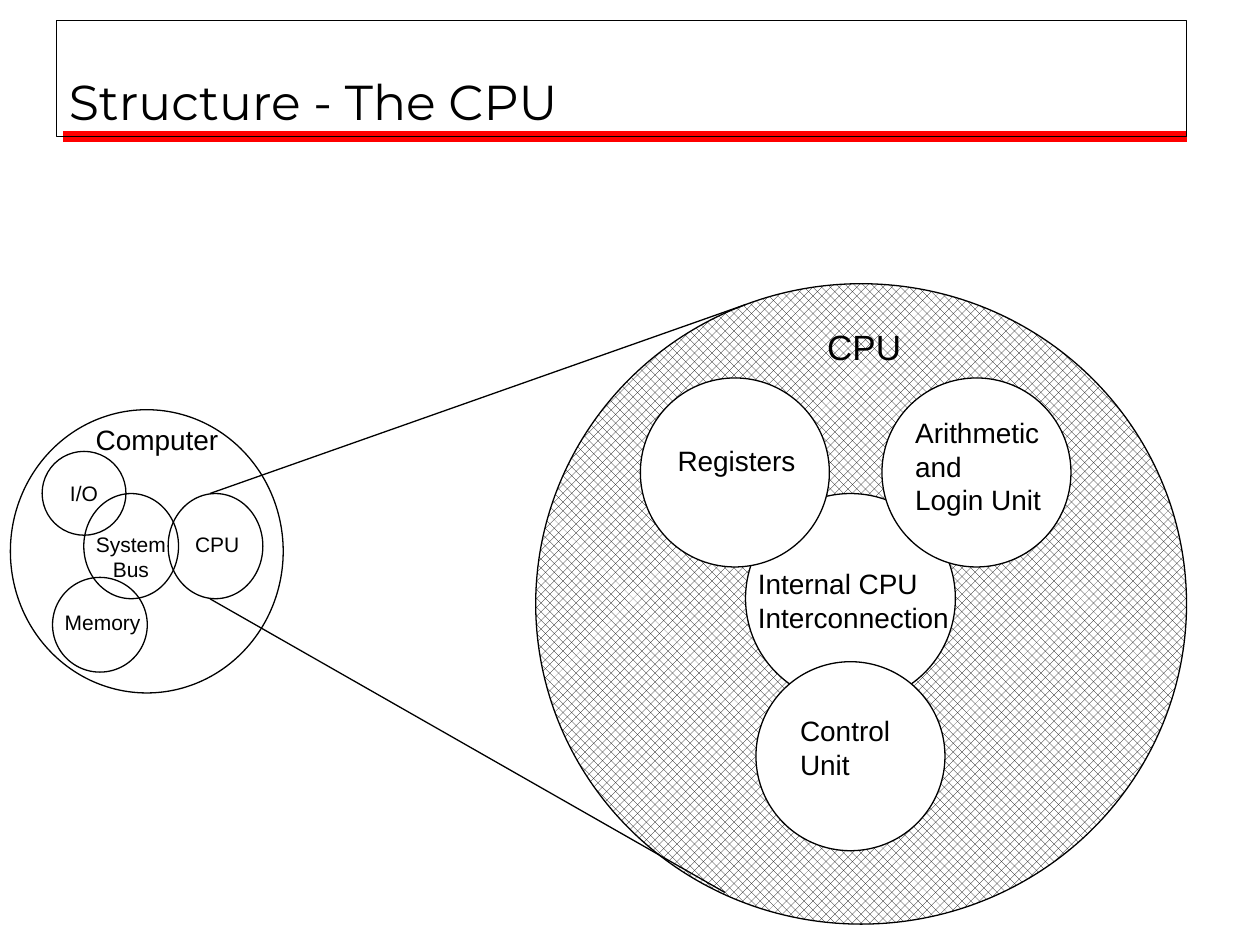
from lxml.etree import SubElement
from pptx import Presentation
from pptx.dml.color import RGBColor
from pptx.enum.dml import MSO_PATTERN
from pptx.enum.shapes import MSO_CONNECTOR, MSO_SHAPE
from pptx.enum.text import MSO_ANCHOR as Anchor, MSO_AUTO_SIZE as AutoSize, PP_ALIGN as Align
from pptx.oxml.ns import qn
from pptx.util import Cm, Pt

COLORS = {"ink": "000000", "paper": "FFFFFF", "rule": "FF0000"}
RGB = {name: RGBColor.from_string(value) for name, value in COLORS.items()}

prs = Presentation()
prs.slide_width, prs.slide_height = Cm(25.4), Cm(19.05)
slide = prs.slides.add_slide(prs.slide_layouts[5])
shapes = slide.shapes


def add_line(x1, y1, x2, y2, color, width):
    line = shapes.add_connector(MSO_CONNECTOR.STRAIGHT, Cm(x1), Cm(y1), Cm(x2), Cm(y2))
    line.line.color.rgb = RGB[color]
    line.line.width = Pt(width)
    SubElement(line._element.spPr, qn("a:effectLst"))


def write(frame, text, size, align, anchor, font="Arial"):
    frame.text = text
    frame.vertical_anchor = anchor
    frame.margin_left = frame.margin_right = Cm(0.25)
    frame.margin_top = frame.margin_bottom = Cm(0.13)
    for paragraph in frame.paragraphs:
        paragraph.alignment = align
        paragraph.font.size = Pt(size)
        paragraph.font.name = font
        paragraph.font.color.rgb = RGB["ink"]


add_line(1.27, 2.75, 23.92, 2.75, "rule", 6)

title = shapes.title
shapes._spTree.append(title._element)
title.left, title.top, title.width, title.height = Cm(1.14), Cm(0.42), Cm(22.78), Cm(2.33)
title.line.color.rgb = RGB["ink"]
title.line.width = Pt(0.75)
write(title.text_frame, "Structure - The CPU", 28, Align.LEFT, Anchor.BOTTOM, "Montserrat")
title.text_frame.auto_size = AutoSize.NONE

circles = [
    (10.8, 5.72, 13.12, 12.91, "hatch", ""),
    (15.03, 9.95, 4.23, 4.23, "paper", ""),
    (12.91, 7.62, 3.81, 3.81, "paper", ""),
    (17.78, 7.62, 3.81, 3.81, "paper", ""),
    (15.24, 13.34, 3.81, 3.81, "paper", ""),
    (0.21, 8.26, 5.5, 5.71, None, ""),
    (3.39, 9.95, 1.91, 2.12, None, ""),
    (0.85, 9.1, 1.69, 1.69, None, "I/O"),
    (1.06, 11.64, 1.91, 1.91, None, ""),
    (1.69, 9.95, 1.91, 2.12, None, ""),
]
for x, y, width, height, fill, text in circles:
    circle = shapes.add_shape(MSO_SHAPE.OVAL, Cm(x), Cm(y), Cm(width), Cm(height))
    circle.shadow.inherit = False
    circle.line.color.rgb = RGB["ink"]
    circle.line.width = Pt(0.75)
    if fill == "hatch":
        circle.fill.patterned()
        circle.fill.pattern = MSO_PATTERN.PERCENT_50
        circle.fill.fore_color.rgb = RGB["ink"]
        circle.fill.back_color.rgb = RGB["paper"]
    elif fill:
        circle.fill.solid()
        circle.fill.fore_color.rgb = RGB[fill]
    else:
        circle.fill.background()
    if text:
        write(circle.text_frame, text, 12, Align.CENTER, Anchor.MIDDLE)
        circle.text_frame.word_wrap = False

add_line(4.23, 9.95, 15.03, 6.14, "ink", 0.75)
add_line(4.23, 12.07, 14.61, 17.99, "ink", 0.75)

left_top = (Align.LEFT, Anchor.TOP)
centered = (Align.CENTER, Anchor.MIDDLE)
labels = [
    (1.68, 8.38, 3.05, 0.94, "Computer", 16, left_top),
    (18.2, 8.25, 3.1, 2.29, "Arithmetic\nand\nLogin Unit", 16, left_top),
    (15.88, 14.26, 2.4, 1.62, "Control\nUnit", 16, left_top),
    (15.03, 11.29, 4.45, 1.62, "Internal CPU\nInterconnection", 16, left_top),
    (13.41, 8.81, 3, 0.94, "Registers", 16, left_top),
    (3.68, 10.59, 1.4, 0.76, "CPU", 12, centered),
    (1.02, 12.16, 2.1, 0.76, "Memory", 12, centered),
    (1.64, 10.59, 2, 1.27, "System\nBus", 12, centered),
    (16.37, 6.44, 2.1, 1.09, "CPU", 20, centered),
]
for x, y, width, height, text, size, placement in labels:
    label = shapes.add_textbox(Cm(x), Cm(y), Cm(width), Cm(height))
    write(label.text_frame, text, size, *placement)
    label.text_frame.word_wrap = False
    label.text_frame.auto_size = AutoSize.SHAPE_TO_FIT_TEXT

prs.save("out.pptx")
